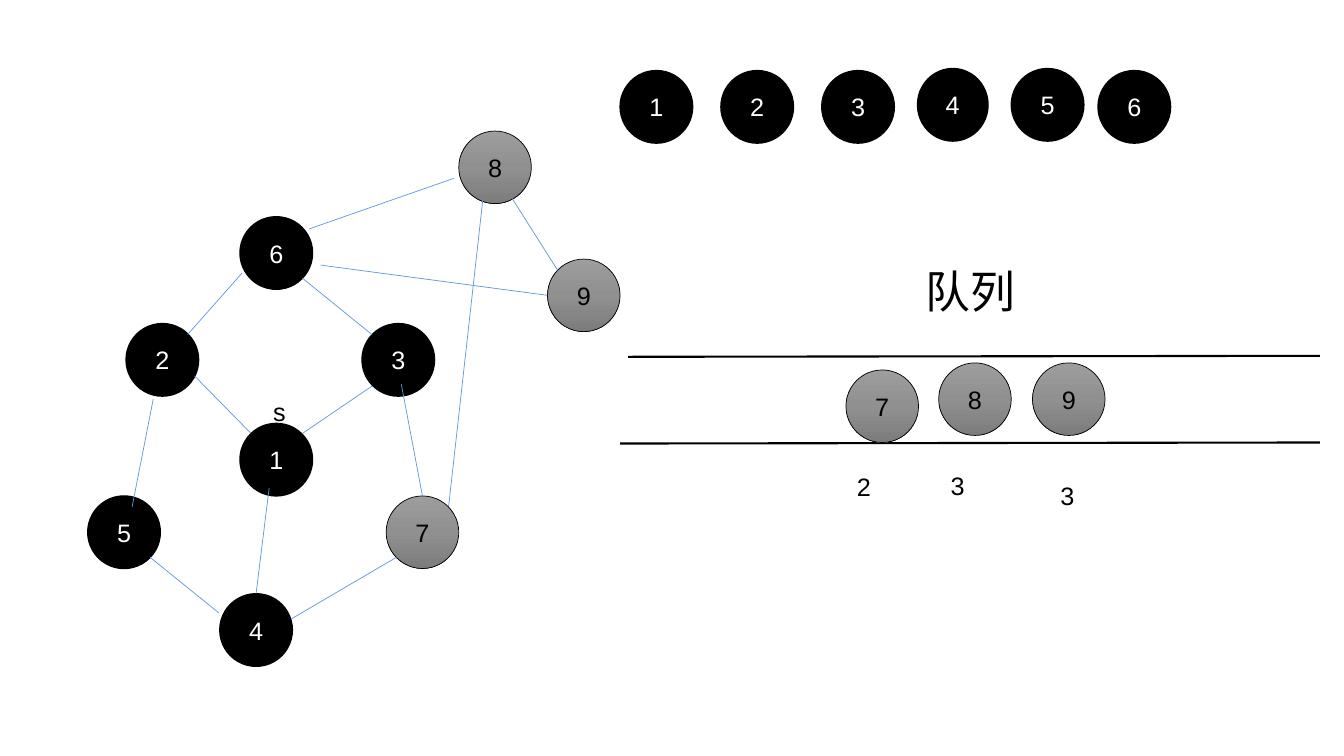
from copy import deepcopy
from dataclasses import dataclass

from pptx import Presentation
from pptx.dml.color import RGBColor
from pptx.enum.shapes import MSO_CONNECTOR, MSO_SHAPE
from pptx.enum.text import MSO_ANCHOR, MSO_AUTO_SIZE, PP_ALIGN
from pptx.oxml.ns import qn
from pptx.slide import Slide
from pptx.text.text import TextFrame
from pptx.util import Inches, Pt
from lxml import etree

STRAIGHT = MSO_CONNECTOR.STRAIGHT
OVAL = MSO_SHAPE.OVAL
MIDDLE = MSO_ANCHOR.MIDDLE
CENTER = PP_ALIGN.CENTER
LEFT = PP_ALIGN.LEFT
GROW = MSO_AUTO_SIZE.SHAPE_TO_FIT_TEXT
BLANK_LAYOUT = 6
DIAMETER = 0.72


@dataclass(frozen=True)
class Theme:
    font: str = "Arial"
    body_size: float = 18
    heading_size: float = 32
    black: str = "000000"
    white: str = "FFFFFF"
    edge: str = "6096E6"
    grays: tuple[str, ...] = ("9D9D9D", "909090", "7C7C7C")
    thin: float = 0.5
    outline: float = 1
    thick: float = 1.5


THEME = Theme()


@dataclass(frozen=True)
class Node:
    name: str
    left: float
    top: float
    waiting: bool = False
    width: float = DIAMETER


@dataclass(frozen=True)
class Line:
    x1: float
    y1: float
    x2: float
    y2: float


@dataclass(frozen=True)
class Label:
    text: str
    left: float
    top: float
    width: float = 0.47
    height: float = 0.4
    size: float = THEME.body_size


GRAPH_NODES = [
    Node("8", 4.55, 1.3, waiting=True),
    Node("6", 2.38, 2.15),
    Node("3", 3.59, 3.21),
    Node("4", 2.18, 5.89),
    Node("5", 0.87, 4.92),
    Node("7", 3.83, 4.92, waiting=True),
    Node("2", 1.25, 3.21),
    Node("9", 5.43, 2.57, waiting=True),
    Node("1", 2.38, 4.2),
]
VISITED_NODES = [
    Node("1", 6.15, 0.7),
    Node("2", 7.15, 0.7),
    Node("3", 8.15, 0.7),
    Node("4", 9.1, 0.68, width=0.7),
    Node("5", 10.03, 0.68),
    Node("6", 10.89, 0.7),
]
QUEUED_NODES = [
    Node("7", 8.39, 3.67, waiting=True),
    Node("8", 9.31, 3.6, waiting=True),
    Node("9", 10.24, 3.6, waiting=True),
]
QUEUE_RAILS = [Line(6.23, 3.54, 13.09, 3.53), Line(6.15, 4.4, 13.09, 4.39)]
GRAPH_EDGES = [
    Line(1.49, 5.53, 2.17, 6.08),
    Line(3.93, 5.53, 2.89, 6.14),
    Line(2.67, 4.84, 2.54, 5.89),
    Line(2.49, 4.3, 1.93, 3.73),
    Line(3.69, 3.83, 3, 4.3),
    Line(1.52, 3.96, 1.31, 5.03),
    Line(3.98, 3.81, 4.19, 4.92),
    Line(1.86, 3.32, 2.4, 2.71),
    Line(3, 2.76, 3.69, 3.32),
    Line(4.45, 5.02, 4.79, 1.97),
    Line(3.07, 2.27, 4.5, 1.77),
    Line(5.08, 1.97, 5.53, 2.68),
    Line(3.18, 2.63, 5.43, 2.93),
]
LABELS = [
    Label("队列", 9.08, 2.57, 1.83, 0.64, THEME.heading_size),
    Label("s", 2.61, 3.88),
    Label("2", 8.4, 4.63),
    Label("3", 9.33, 4.62),
    Label("3", 10.42, 4.72),
]


def rgb(color: str) -> RGBColor:
    return RGBColor.from_string(color)


def write(frame: TextFrame, text: str, size: float, color: str, align: PP_ALIGN) -> None:
    frame.word_wrap = True
    para = frame.paragraphs[0]
    para.alignment = align
    span = para.add_run()
    span.text = text
    span.font.name = THEME.font
    span.font.size = Pt(size)
    span.font.color.rgb = rgb(color)


def draw_node(page: Slide, node: Node) -> None:
    circle = page.shapes.add_shape(
        OVAL, Inches(node.left), Inches(node.top), Inches(node.width), Inches(DIAMETER)
    )
    circle.shadow.inherit = False
    circle.line.color.rgb = rgb(THEME.black)
    circle.line.width = Pt(THEME.thin if node.waiting else THEME.outline)
    if node.waiting:
        circle.fill.gradient()
        circle.fill.gradient_angle = 270
        stop_list = circle.element.spPr.find(qn("a:gradFill")).find(qn("a:gsLst"))
        stop_list.insert(1, deepcopy(stop_list[0]))
        for index, (stop, gray) in enumerate(zip(circle.fill.gradient_stops, THEME.grays)):
            stop.position = index / 2
            stop.color.rgb = rgb(gray)
    else:
        circle.fill.solid()
        circle.fill.fore_color.rgb = rgb(THEME.black)
    circle.text_frame.vertical_anchor = MIDDLE
    color = THEME.black if node.waiting else THEME.white
    write(circle.text_frame, node.name, THEME.body_size, color, CENTER)


def draw_line(page: Slide, line: Line, color: str, width: float) -> None:
    connector = page.shapes.add_connector(
        STRAIGHT, Inches(line.x1), Inches(line.y1), Inches(line.x2), Inches(line.y2)
    )
    connector.line.color.rgb = rgb(color)
    connector.line.width = Pt(width)
    etree.SubElement(connector.element.spPr, qn("a:effectLst"))


def draw_label(page: Slide, label: Label) -> None:
    box = page.shapes.add_textbox(
        Inches(label.left), Inches(label.top), Inches(label.width), Inches(label.height)
    )
    box.text_frame.auto_size = GROW
    write(box.text_frame, label.text, label.size, THEME.black, LEFT)


def main() -> None:
    deck = Presentation()
    deck.slide_width = Inches(13.33)
    deck.slide_height = Inches(7.5)
    page = deck.slides.add_slide(deck.slide_layouts[BLANK_LAYOUT])
    for rail in QUEUE_RAILS:
        draw_line(page, rail, THEME.black, THEME.thick)
    for node in GRAPH_NODES:
        draw_node(page, node)
    for edge in GRAPH_EDGES:
        draw_line(page, edge, THEME.edge, THEME.thin)
    for node in VISITED_NODES + QUEUED_NODES:
        draw_node(page, node)
    for label in LABELS:
        draw_label(page, label)
    deck.save("out.pptx")


if __name__ == "__main__":
    main()
